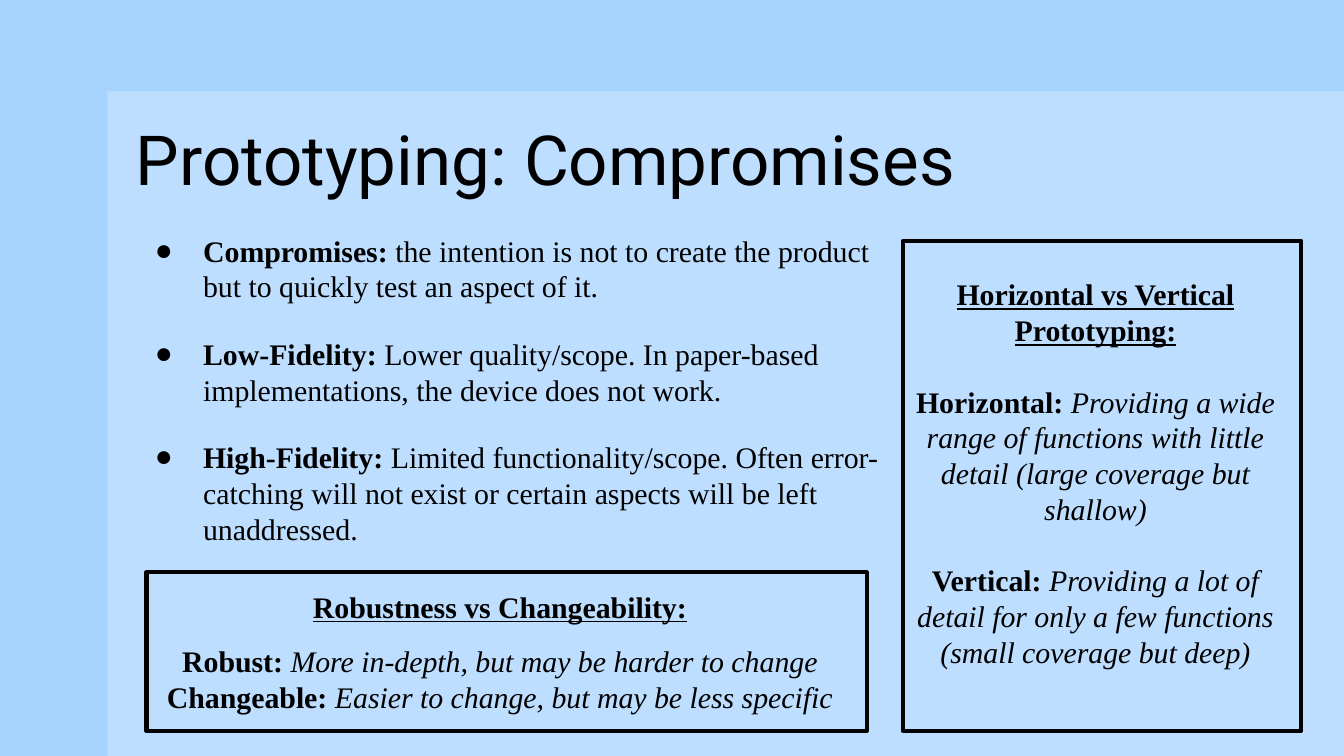
from lxml import etree
from pptx import Presentation
from pptx.dml.color import RGBColor
from pptx.enum.shapes import MSO_SHAPE
from pptx.enum.text import MSO_ANCHOR, PP_ALIGN
from pptx.oxml.ns import qn
from pptx.util import Cm, Pt

RECTANGLE = MSO_SHAPE.RECTANGLE
TOP = MSO_ANCHOR.TOP
CENTER = PP_ALIGN.CENTER

COLORS = {"sky": "A7D4FF", "panel": "BEDEFF", "ink": "000000"}
HEADING_FONT = "Roboto"
BODY_FONT = "Times New Roman"
BODY_SIZE = 16

FIDELITY_POINTS = [
    ("Compromises:", " the intention is not to create the product but to quickly "
     "test an aspect of it."),
    ("Low-Fidelity:", " Lower quality/scope. In paper-based implementations, "
     "the device does not work."),
    ("High-Fidelity:", " Limited functionality/scope. Often error-catching will "
     "not exist or certain aspects will be left unaddressed."),
]
DIRECTIONS = [
    ("Horizontal: ", "Providing a wide range of functions with little detail "
     "(large coverage but shallow)"),
    ("Vertical: ", "Providing a lot of detail for only a few functions "
     "(small coverage but deep)"),
]
QUALITIES = [
    ("Robust: ", "More in-depth, but may be harder to change"),
    ("Changeable: ", "Easier to change, but may be less specific"),
]


def color(name):
    return RGBColor.from_string(COLORS[name])


def add_text_area(slide, box, top_inset=0):
    area = slide.shapes.add_textbox(*(Cm(length) for length in box))
    frame = area.text_frame
    frame.word_wrap = True
    frame.vertical_anchor = TOP
    frame.margin_left = frame.margin_bottom = 0
    frame.margin_top = Cm(top_inset)
    frame.margin_right = Cm(0.25)
    return area


def add_run(paragraph, text, size=BODY_SIZE, font_name=BODY_FONT, bold=False,
            italic=False, underline=False):
    run = paragraph.add_run()
    run.text = text
    font = run.font
    font.size, font.name = Pt(size), font_name
    font.bold, font.italic, font.underline = bold, italic, underline
    font.color.rgb = color("ink")


def add_bullet(paragraph):
    properties = paragraph._p.get_or_add_pPr()
    properties.set("marL", str(Cm(1.27)))
    properties.set("indent", str(Cm(-0.91)))
    bullet_color = etree.SubElement(properties, qn("a:buClr"))
    etree.SubElement(bullet_color, qn("a:srgbClr"), val=COLORS["ink"])
    etree.SubElement(properties, qn("a:buFont"), typeface=BODY_FONT)
    etree.SubElement(properties, qn("a:buChar"), char="●")


def add_backdrop(slide, box):
    slide.background.fill.solid()
    slide.background.fill.fore_color.rgb = color("sky")
    panel = slide.shapes.add_shape(RECTANGLE, *(Cm(length) for length in box))
    panel.shadow.inherit = False
    panel.fill.solid()
    panel.fill.fore_color.rgb = color("panel")
    panel.line.fill.background()


def add_heading(slide, box, text):
    heading = add_text_area(slide, box).text_frame.paragraphs[0]
    heading.line_spacing = 0.8
    add_run(heading, text, 37, HEADING_FONT)


def add_bullet_list(slide, box, points, gap):
    frame = add_text_area(slide, box).text_frame
    for index, (term, meaning) in enumerate(points):
        point = frame.paragraphs[0] if index == 0 else frame.add_paragraph()
        if index:
            point.space_before = Pt(gap)
        add_bullet(point)
        add_run(point, term, bold=True)
        add_run(point, meaning)


def add_comparison(slide, box, title, entries, top_inset, gaps):
    """Outlined card; gaps holds the space in points above each entry."""
    card = add_text_area(slide, box, top_inset)
    card.line.color.rgb = color("ink")
    card.line.width = Pt(2.25)
    frame = card.text_frame
    caption = frame.paragraphs[0]
    caption.alignment = CENTER
    add_run(caption, title, bold=True, underline=True)
    for (term, meaning), gap in zip(entries, gaps):
        entry = frame.add_paragraph()
        entry.alignment = CENTER
        entry.space_before = Pt(gap)
        add_run(entry, term, bold=True)
        add_run(entry, meaning, italic=True)


def main():
    presentation = Presentation()
    presentation.slide_width, presentation.slide_height = Cm(25.4), Cm(14.29)
    slide = presentation.slides.add_slide(presentation.slide_layouts[6])
    add_backdrop(slide, (2.03, 1.73, 23.37, 12.56))
    add_heading(slide, (2.57, 2.51, 20.07, 2.51), "Prototyping: Compromises")
    add_bullet_list(slide, (2.57, 4.39, 14.33, 6.43), FIDELITY_POINTS, 17)
    add_comparison(slide, (17.07, 4.55, 7.52, 9.27),
                   "Horizontal vs Vertical Prototyping:", DIRECTIONS, 0.67, (19, 19))
    add_comparison(slide, (2.77, 10.82, 13.61, 3),
                   "Robustness vs Changeability:", QUALITIES, 0.3, (10, 0))
    presentation.save("out.pptx")


if __name__ == "__main__":
    main()
